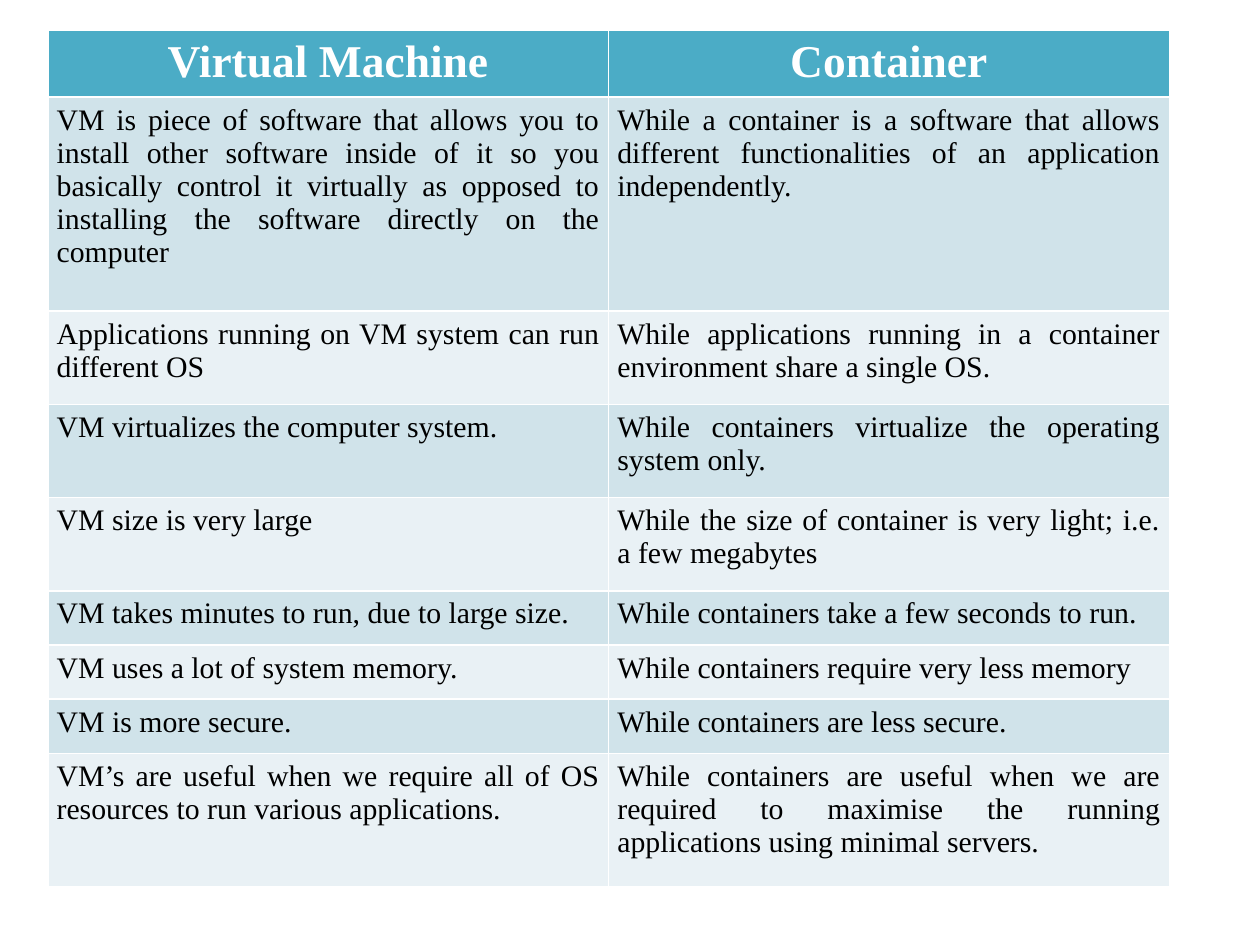
"""Build a slide with a table comparing virtual machines and containers."""
from pptx import Presentation
from pptx.dml.color import RGBColor
from pptx.enum import text
from pptx.util import Inches, Pt

WHITE = RGBColor(0xFF, 0xFF, 0xFF)
BLACK = RGBColor(0x00, 0x00, 0x00)
HEADER_TEAL = RGBColor(0x4B, 0xAC, 0xC6)
BAND_DARK = RGBColor(0xD0, 0xE3, 0xEA)
BAND_LIGHT = RGBColor(0xE9, 0xF1, 0xF5)

COMPARISON = [
    (0.53, "Virtual Machine", "Container"),
    (1.7, "VM is piece of software that allows you to install other software inside of it "
          "so you basically control it virtually as opposed to installing the software "
          "directly on the computer",
     "While a container is a software that allows different functionalities of an "
     "application independently."),
    (0.74, "Applications running on VM system can run different OS",
     "While applications running in a container environment share a single OS."),
    (0.74, "VM virtualizes the computer system.",
     "While containers virtualize the operating system only."),
    (0.74, "VM size is very large",
     "While the size of container is very light; i.e. a few megabytes"),
    (0.43, "VM takes minutes to run, due to large size.",
     "While containers take a few seconds to run."),
    (0.43, "VM uses a lot of system memory.",
     "While containers require very less memory"),
    (0.43, "VM is more secure.", "While containers are less secure."),
    (1.06, "VM’s are useful when we require all of OS resources to run various applications.",
     "While containers are useful when we are required to maximise the running "
     "applications using minimal servers."),
]


def write_cell(cell, content, *, fill, size=17, color=BLACK, bold=False,
               align=text.PP_ALIGN.JUSTIFY):
    cell.fill.solid()
    cell.fill.fore_color.rgb = fill
    cell.margin_left = cell.margin_right = Inches(0.07)
    cell.margin_top = cell.margin_bottom = Inches(0.05)
    paragraph = cell.text_frame.paragraphs[0]
    paragraph.alignment = align
    run = paragraph.add_run()
    run.text = content
    run.font.name = "Times New Roman"
    run.font.size = Pt(size)
    run.font.bold = bold
    run.font.color.rgb = color


presentation = Presentation()
presentation.slide_width = Inches(10)
presentation.slide_height = Inches(7.5)
slide = presentation.slides.add_slide(presentation.slide_layouts[6])

table_height = sum(height for height, *_ in COMPARISON)
table = slide.shapes.add_table(
    len(COMPARISON), 2, Inches(0.38), Inches(0.24), Inches(8.9), Inches(table_height)
).table

for row_index, (height, *contents) in enumerate(COMPARISON):
    table.rows[row_index].height = Inches(height)
    if row_index == 0:
        style = dict(fill=HEADER_TEAL, size=26, color=WHITE, bold=True,
                     align=text.PP_ALIGN.CENTER)
    else:
        style = dict(fill=BAND_DARK if row_index % 2 else BAND_LIGHT)
    for column_index, content in enumerate(contents):
        write_cell(table.cell(row_index, column_index), content, **style)

presentation.save("out.pptx")
